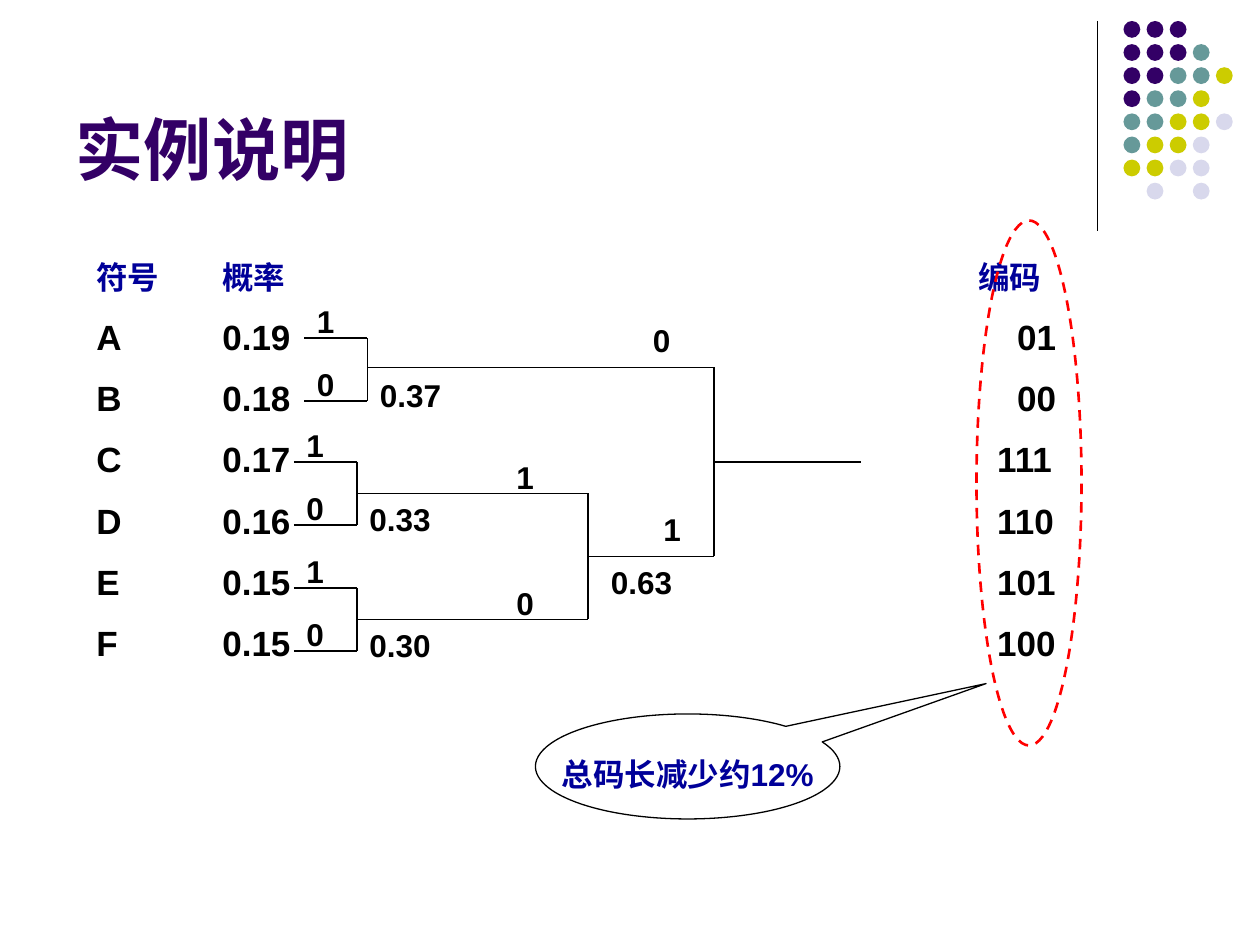
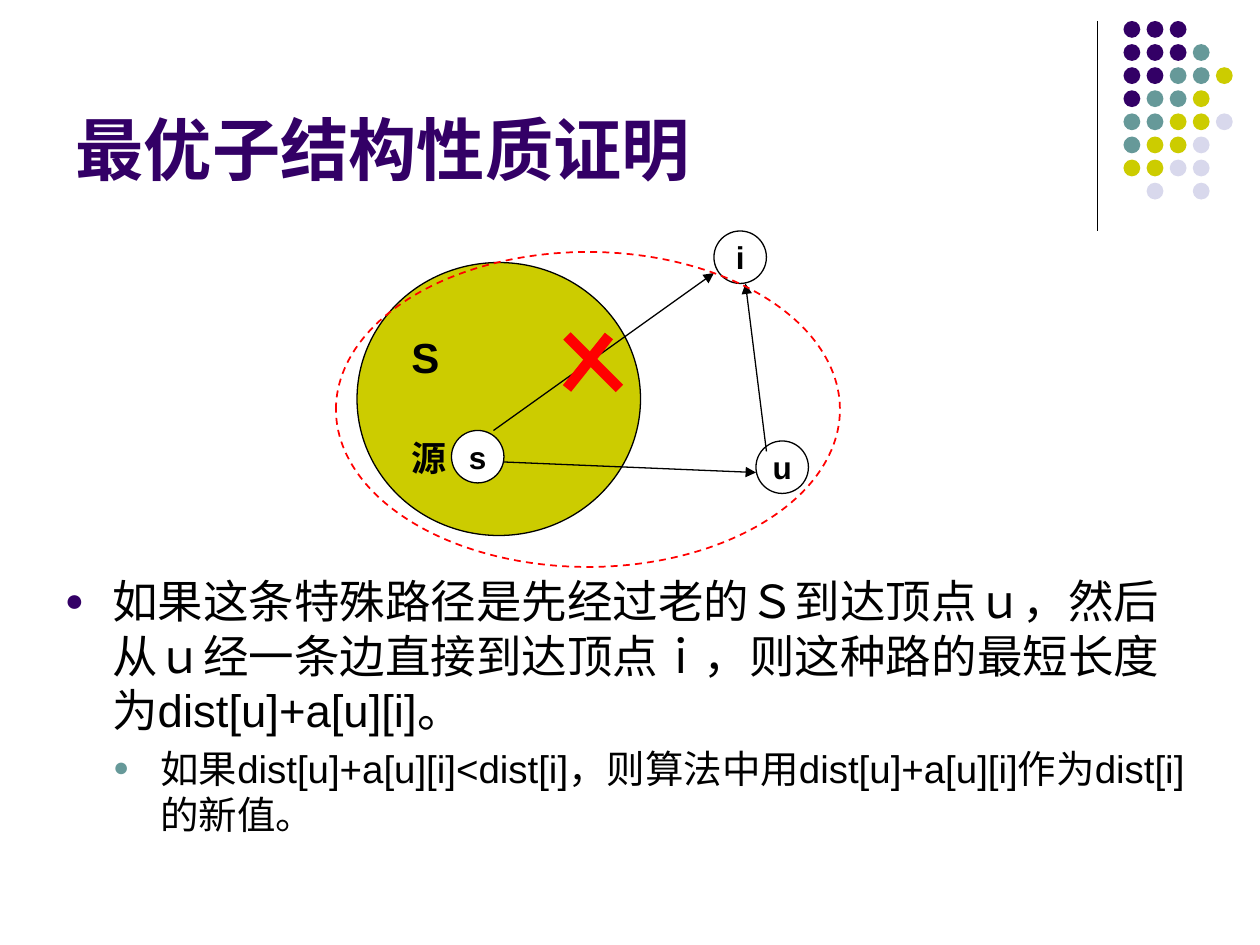
from lxml import etree
from pptx import Presentation, util as u
from pptx.dml.color import RGBColor
from pptx.enum import dml, shapes, text
from pptx.oxml.ns import qn

PX = 7620  # EMU per px: 120 px to the inch
FONT = "Arial"
BLACK, WHITE, RED, NAVY = "000000", "FFFFFF", "FF0000", "000099"
PURPLE, TEAL, LIME, LILAC = "330066", "669999", "CCCC00", "D8D8EC"
DOT_COLORS = {"P": PURPLE, "T": TEAL, "Y": LIME, "L": LILAC}
DOT_ROWS = ["PPP", "PPPT", "PPTTY", "PTTY", "TTYYL", "TYYL", "YYLL", " L L"]
OVAL = shapes.MSO_SHAPE.OVAL


def px(*values):
    return [u.Emu(v * PX) for v in values]


def rgb(color):
    return RGBColor.from_string(color)


def sub(parent, tag, **attrs):
    return etree.SubElement(parent, qn(tag), {k: str(v) for k, v in attrs.items()})


# Text
def write(p, content, size=18, color=BLACK, bold=True, align=None, before=0):
    p.alignment = align
    p.space_before = u.Pt(before)
    r = p.add_run()
    r.text = content
    f = r.font
    f.name, f.size, f.bold = FONT, u.Pt(size), bold
    f.color.rgb = rgb(color)
    return p


def text_frame(s, x, y, w, h):
    tf = s.shapes.add_textbox(*px(x, y, w, h)).text_frame
    tf.word_wrap = True
    return tf


def label(s, content, x, y, w=40, h=48, **fmt):
    write(text_frame(s, x, y, w, h).paragraphs[0], content, **fmt)


def set_tabs(p, *stops):
    tabs = sub(p._p.get_or_add_pPr(), "a:tabLst")
    for stop in px(*stops):
        sub(tabs, "a:tab", pos=stop, algn="l")


def set_bullet(p, color, left, hang):
    left, hang = px(left, hang)
    pPr = p._p.get_or_add_pPr()
    pPr.set("marL", str(left))
    pPr.set("indent", str(-hang))
    sub(sub(pPr, "a:buClr"), "a:srgbClr", val=color)
    sub(pPr, "a:buSzPct", val=70000)
    sub(pPr, "a:buFont", typeface=FONT)
    sub(pPr, "a:buChar", char="●")


# Shapes and lines
def shape(parent, kind, x, y, w, h, fill=None, line=None, width=0.75, dash=False):
    sp = parent.shapes.add_shape(kind, *px(x, y, w, h))
    sp.shadow.inherit = False
    if fill:
        sp.fill.solid()
        sp.fill.fore_color.rgb = rgb(fill)
    else:
        sp.fill.background()
    if line:
        sp.line.color.rgb = rgb(line)
        sp.line.width = u.Pt(width)
    else:
        sp.line.fill.background()
    if dash:
        sp.line.dash_style = dml.MSO_LINE.DASH
    return sp


def caption(sp, content, drop=0, **fmt):
    """Centred text inside a shape, lowered by drop px."""
    tf = sp.text_frame
    tf.word_wrap = False
    tf.margin_left = tf.margin_right = tf.margin_bottom = 0
    tf.margin_top = px(2 * drop)[0]
    tf.vertical_anchor = text.MSO_ANCHOR.MIDDLE
    write(tf.paragraphs[0], content, align=text.PP_ALIGN.CENTER, **fmt)


def line(s, x1, y1, x2, y2, color=BLACK, width=0.75, arrow=False):
    cn = s.shapes.add_connector(shapes.MSO_CONNECTOR.STRAIGHT, *px(x1, y1, x2, y2))
    cn.line.color.rgb = rgb(color)
    cn.line.width = u.Pt(width)
    if arrow:
        sub(cn.line._get_or_add_ln(), "a:tailEnd", type="triangle")
    sub(cn._element.spPr, "a:effectLst")


def node(s, name, x, y):
    caption(shape(s, OVAL, x, y, 50, 50, WHITE, BLACK), name)


def join(s, x, upper, lower, total=None, total_x=0):
    """Merge two code branches at x; a branch is (start, y, bit, bit x, bit rise)."""
    for start, y, bit, bit_x, rise in (upper, lower):
        line(s, start, y, x, y)
        label(s, bit, bit_x, y - rise)
    line(s, x, upper[1], x, lower[1])
    if total:
        label(s, total, x + total_x, (upper[1] + lower[1]) // 2, w=90)


# Shared slide frame: title, rule and dot pattern
def add_slide(prs, title):
    s = prs.slides.add_slide(prs.slide_layouts[5])
    line(s, 1045, 20, 1045, 220)
    dots = s.shapes.add_group_shape()
    for row, colors in enumerate(DOT_ROWS):
        for col, key in enumerate(colors):
            if key in DOT_COLORS:
                shape(dots, OVAL, 1070 + 22 * col, 20 + 22 * row, 16, 16, DOT_COLORS[key])
    sp = s.shapes.title
    sp.left, sp.top, sp.width, sp.height = px(60, 16, 990, 170)
    tf = sp.text_frame
    tf.auto_size = text.MSO_AUTO_SIZE.NONE
    tf.vertical_anchor = text.MSO_ANCHOR.BOTTOM
    write(tf.paragraphs[0], title, size=39, color=PURPLE, align=text.PP_ALIGN.LEFT)
    return s


def coding_slide(prs):
    s = add_slide(prs, "实例说明")

    # Symbols, probabilities and codes
    tf = text_frame(s, 80, 240, 1030, 408)
    p = write(tf.paragraphs[0], "符号\t概率\t编码", color=NAVY)
    set_tabs(p, 120, 840)
    rows = [("A", "0.19", "01"), ("B", "0.18", "00"), ("C", "0.17", "111"),
            ("D", "0.16", "110"), ("E", "0.15", "101"), ("F", "0.15", "100")]
    for row in rows:
        p = write(tf.add_paragraph(), "\t".join(row), size=20, before=11)
        set_tabs(p, 120, 877 if len(row[2]) == 2 else 858)

    # Code tree: leaf pairs, then the two inner joins and the root
    for x, y, total in [(350, 322, "0.37"), (340, 440, "0.33"), (340, 560, "0.30")]:
        start = x - 60
        join(s, x, (start, y, "1", start, 40), (start, y + 60, "0", start, 40), total)
    join(s, 560, (340, 470, "1", 480, 40), (340, 590, "0", 480, 40), "0.63", total_x=10)
    join(s, 680, (350, 350, "0", 610, 50), (560, 530, "1", 620, 50))
    line(s, 680, 440, 820, 440)

    # Highlighted codes and their callout
    shape(s, OVAL, 930, 210, 100, 500, line=RED, width=1.5, dash=True)
    sp = shape(s, shapes.MSO_SHAPE.OVAL_CALLOUT, 510, 680, 290, 100, line=BLACK)
    sp.adjustments[0], sp.adjustments[1] = 0.98, -0.79
    caption(sp, "总码长减少约12%", drop=7, color=NAVY)


def proof_slide(prs):
    s = add_slide(prs, "最优子结构性质证明")

    # Argument
    tf = text_frame(s, 50, 540, 1100, 280)
    p = write(tf.paragraphs[0],
              "如果这条特殊路径是先经过老的Ｓ到达顶点ｕ，然后从ｕ经一条边直接到达顶点ｉ，"
              "则这种路的最短长度为dist[u]+a[u][i]。", size=26, bold=False)
    set_bullet(p, PURPLE, 45, 45)
    p = write(tf.add_paragraph(),
              "如果dist[u]+a[u][i]<dist[i]，则算法中用dist[u]+a[u][i]作为dist[i]的新值。",
              size=22, bold=False, before=4.4)
    p.level = 1
    set_bullet(p, TEAL, 91, 45)

    # Set S with the source, and the vertices
    shape(s, OVAL, 340, 250, 270, 260, LIME, BLACK)
    label(s, "S", 380, 310, w=60, h=60, size=24)
    label(s, "源", 380, 410, w=60, h=52, size=20)
    for name, x, y in [("i", 680, 220), ("u", 720, 420), ("s", 430, 410)]:
        node(s, name, x, y)

    # Paths; the direct one is crossed out
    for ends in [(470, 410, 680, 260), (480, 440, 720, 450), (730, 430, 710, 270)]:
        line(s, *ends, arrow=True)
    for ends in [(540, 320, 590, 370), (540, 370, 580, 320)]:
        line(s, *ends, color=RED, width=6)
    shape(s, OVAL, 320, 240, 480, 300, line=RED, width=1, dash=True)


def main():
    prs = Presentation()
    prs.slide_width, prs.slide_height = px(1200, 900)
    coding_slide(prs)
    proof_slide(prs)
    prs.save("out.pptx")


if __name__ == "__main__":
    main()
